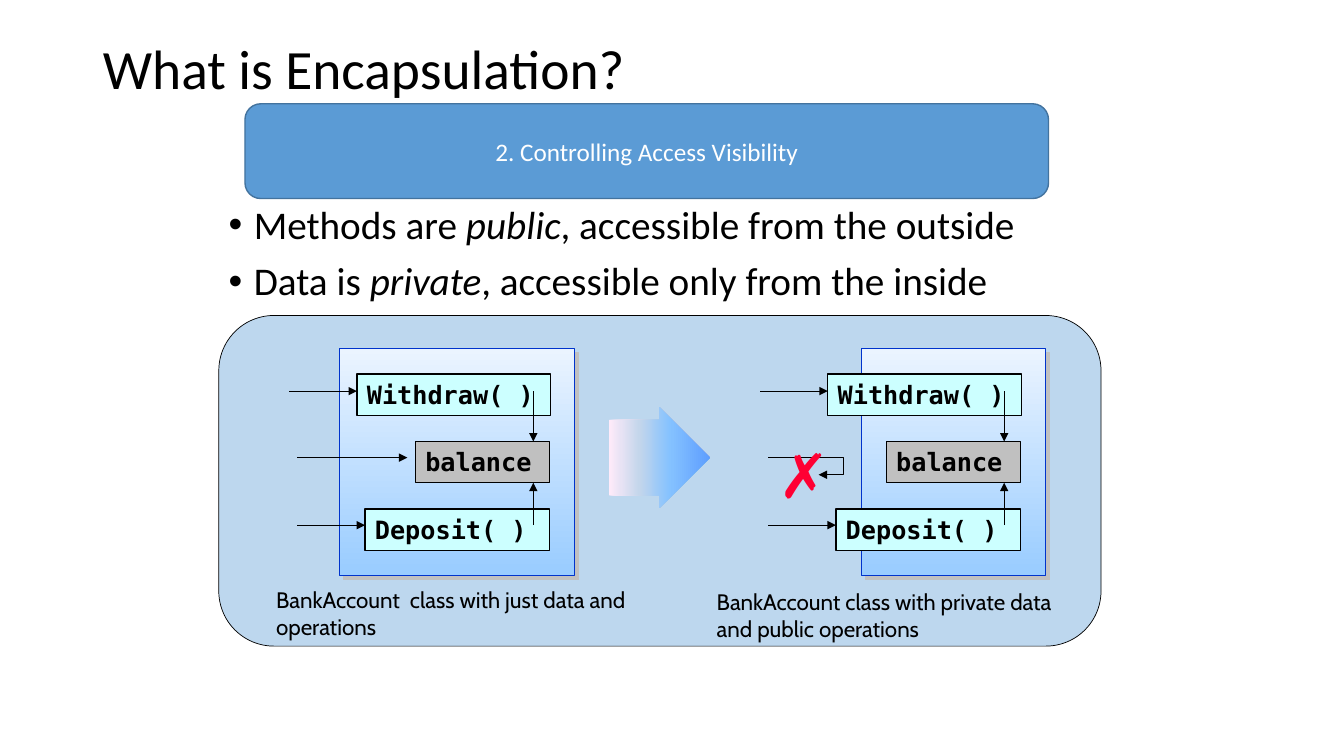
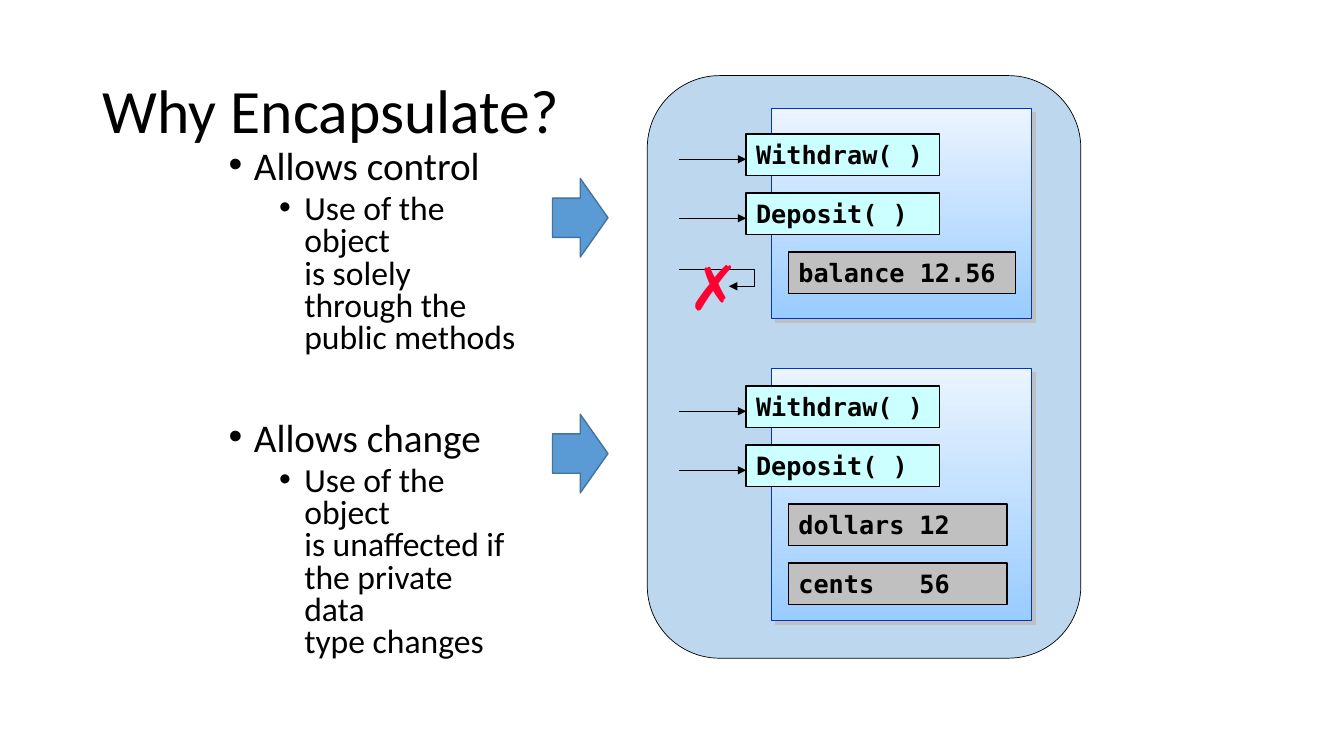
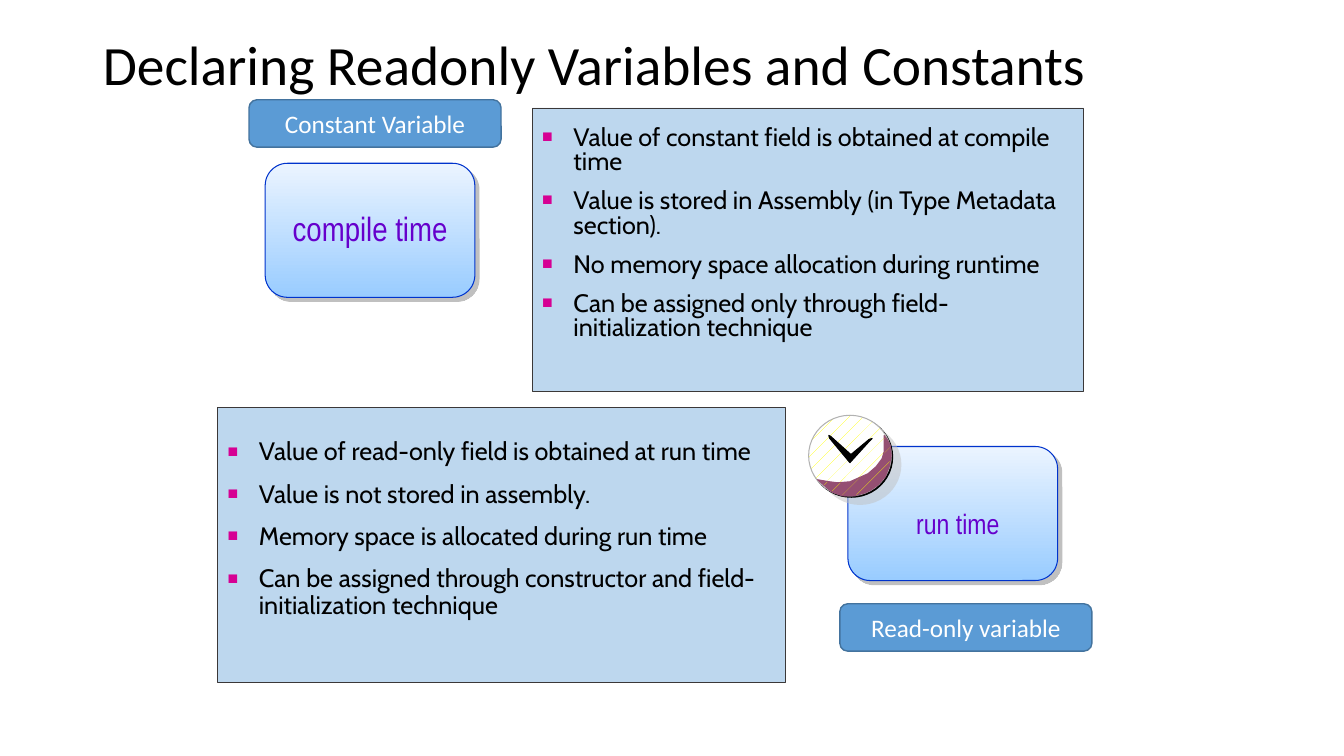
from pptx import Presentation
from pptx.dml.color import RGBColor
from pptx.enum.dml import MSO_PATTERN
from pptx.enum.shapes import MSO_CONNECTOR as CONN, MSO_SHAPE as SHAPE
from pptx.enum.text import MSO_ANCHOR as ANCHOR, MSO_AUTO_SIZE as AUTO, PP_ALIGN as ALIGN
from pptx.oxml import parse_xml
from pptx.oxml.ns import nsdecls, qn
from pptx.util import Inches, Pt
from lxml.etree import SubElement

BLACK, WHITE, GRAY = "000000", "FFFFFF", "C0C0C0"
PALE, BLUE, BLUE_EDGE, PANEL_EDGE = "BDD7EE", "5B9BD5", "43739E", "0033CC"
CYAN, RED, PURPLE, PINK, PLUM = "CCFFFF", "FF0033", "6600CC", "D60093", "954F72"
PANEL_STOPS = [(0, "EBF4FF"), (100, "99CCFF")]
ARROW_STOPS = [(0, "FFEBFA"), (30, "C4D6EB"), (60, "85C2FF"), (100, "5E9EFF")]
BODY, MONO, NOTE, NARROW, PLAIN = "Calibri", "DejaVu Sans Mono", "Cabin", "Arial Narrow", "Arial"
ROW_H = 0.41
CRESCENT = [
    (0.09, 0.64), (0.21, 0.66), (0.29, 0.67), (0.41, 0.66), (0.5, 0.62), (0.59, 0.58),
    (0.67, 0.51), (0.73, 0.43), (0.75, 0.36), (0.75, 0.2), (0.78, 0.24), (0.81, 0.3),
    (0.82, 0.4), (0.8, 0.51), (0.76, 0.61), (0.69, 0.69), (0.62, 0.74), (0.56, 0.77),
    (0.45, 0.8), (0.34, 0.8), (0.23, 0.76), (0.17, 0.71),
]
CHECK = [(0.42, 0.39), (0.6, 0.24), (0.63, 0.23), (0.61, 0.25),
         (0.41, 0.47), (0.21, 0.23), (0.2, 0.2), (0.22, 0.21)]


def rgb(color):
    return RGBColor.from_string(color)


def inches(*values):
    return [Inches(v) for v in values]


def add_gradient(sp, stops, angle):
    sp.fill.gradient()
    sp.fill.gradient_angle = angle
    grad = sp._element.spPr.find(qn("a:gradFill"))
    items = "".join(f'<a:gs pos="{pos * 1000}"><a:srgbClr val="{color}"/></a:gs>'
                    for pos, color in stops)
    grad.replace(grad.find(qn("a:gsLst")),
                 parse_xml(f'<a:gsLst {nsdecls("a")}>{items}</a:gsLst>'))


def add_shadow(sp, color, dist):
    effects = sp._element.spPr.find(qn("a:effectLst"))
    effects.append(parse_xml(
        f'<a:outerShdw {nsdecls("a")} dist="{Pt(dist)}" dir="2700000" algn="ctr" '
        f'rotWithShape="0"><a:srgbClr val="{color}"/></a:outerShdw>'))


def set_pattern(sp, fore, back):
    sp.fill.patterned()
    sp.fill.pattern = MSO_PATTERN.PERCENT_5
    sp.fill.fore_color.rgb = rgb(fore)
    sp.fill.back_color.rgb = rgb(back)


def set_look(sp, fill, line=None, width=0.75):
    sp.shadow.inherit = False
    if fill:
        sp.fill.solid()
        sp.fill.fore_color.rgb = rgb(fill)
    if line:
        sp.line.color.rgb = rgb(line)
        sp.line.width = Pt(width)
    else:
        sp.line.fill.background()


def add_box(shapes, kind, box, fill=None, line=None, width=0.75):
    sp = shapes.add_shape(kind, *inches(*box))
    set_look(sp, fill, line, width)
    return sp


def add_panel(shapes, box, kind=SHAPE.RECTANGLE):
    sp = add_box(shapes, kind, box, line=PANEL_EDGE)
    add_gradient(sp, PANEL_STOPS, 270)
    add_shadow(sp, GRAY, 4.2)
    return sp


def add_bullet(p, char, left, hang, color=None, percent=None):
    pPr = p._p.get_or_add_pPr()
    pPr.set("marL", str(Inches(left)))
    pPr.set("indent", str(-Inches(hang)))
    if color:
        SubElement(SubElement(pPr, qn("a:buClr")), qn("a:srgbClr"), val=color)
    if percent:
        SubElement(pPr, qn("a:buSzPct"), val=str(percent * 1000))
    SubElement(pPr, qn("a:buFont"), typeface=PLAIN)
    SubElement(pPr, qn("a:buChar"), char=char)


def add_tab(p, pos):
    tabs = SubElement(p._p.get_or_add_pPr(), qn("a:tabLst"))
    SubElement(tabs, qn("a:tab"), pos=str(Inches(pos)), algn="l")


def write(p, text, size=18, font=BODY, color=BLACK, bold=False,
          align=ALIGN.LEFT, line=None, before=0):
    p.alignment = align
    p.space_before = Pt(before)
    if line:
        p.line_spacing = line
    for i, part in enumerate(text.split("*")):
        for j, piece in enumerate(part.split("\n")):
            if j:
                p.add_line_break()
            r = p.add_run()
            r.text = piece
            r.font.name, r.font.size, r.font.bold = font, Pt(size), bold
            r.font.italic = i % 2 == 1
            r.font.color.rgb = rgb(color)


def next_par(tf, first):
    return tf.paragraphs[0] if first else tf.add_paragraph()


def add_text_box(shapes, box, wrap=True):
    tf = shapes.add_textbox(*inches(*box)).text_frame
    tf.word_wrap = wrap
    return tf


def add_outline(shapes, x, y, points, color):
    pts = [inches(x + dx, y + dy) for dx, dy in points]
    builder = shapes.build_freeform(*pts[0], scale=1.0)
    builder.add_line_segments(pts[1:], close=True)
    sp = builder.convert_to_shape()
    set_look(sp, color, color)
    return sp


def add_arrow(shapes, x1, y1, x2, y2, kind=CONN.STRAIGHT):
    c = shapes.add_connector(kind, *inches(x1, y1, x2, y2))
    c.line.color.rgb = rgb(BLACK)
    c.line.width = Pt(0.75)
    SubElement(c.line._get_or_add_ln(), qn("a:tailEnd"), type="triangle")
    SubElement(c._element.spPr, qn("a:effectLst"))
    return c


def add_slide(prs, title, box, size):
    s = prs.slides.add_slide(prs.slide_layouts[5])
    sp = s.shapes.title
    sp.left, sp.top, sp.width, sp.height = inches(*box)
    tf = sp.text_frame
    tf.auto_size, tf.vertical_anchor, tf.word_wrap = AUTO.NONE, ANCHOR.MIDDLE, True
    write(tf.paragraphs[0], title, size=size, line=0.9)
    return s


def add_banner(shapes, box, text):
    sp = add_box(shapes, SHAPE.ROUNDED_RECTANGLE, box, BLUE, BLUE_EDGE, 1)
    sp.text_frame.vertical_anchor = ANCHOR.MIDDLE
    write(sp.text_frame.paragraphs[0], text, color=WHITE, align=ALIGN.CENTER)


def add_member(shapes, x, y, w, text, fill):
    sp = add_box(shapes, SHAPE.RECTANGLE, (x, y, w, ROW_H), fill, BLACK, 1)
    tf = sp.text_frame
    tf.vertical_anchor = ANCHOR.TOP
    p = tf.paragraphs[0]
    if "\t" in text:
        add_tab(p, 1.2)
    write(p, text, font=MONO, bold=True)


def add_blocked_access(shapes, x, y):
    c = add_arrow(shapes, x, y, x + 0.5, y + 0.17, CONN.ELBOW)
    guides = c._element.spPr.find(qn("a:prstGeom")).get_or_add_avLst()
    SubElement(guides, qn("a:gd"), name="adj1", fmla="val 150000")
    tf = add_text_box(shapes, (x, y - 0.25, 0.6, 0.84), wrap=False)
    write(tf.paragraphs[0], "✗", size=44, font=PLAIN, color=RED)


def add_access_diagram(shapes, x, y, panel_dx, panel_w, blocked):
    add_panel(shapes, (x + panel_dx, y, panel_w, 2.25))
    add_member(shapes, x + 0.67, y + 0.25, 1.92, "Withdraw( )", CYAN)
    add_member(shapes, x + 0.75, y + 1.59, 1.83, "Deposit( )", CYAN)
    add_member(shapes, x + 1.25, y + 0.92, 1.33, "balance", GRAY)
    add_arrow(shapes, x + 2.42, y + 0.42, x + 2.42, y + 0.92)
    add_arrow(shapes, x + 2.42, y + 1.75, x + 2.42, y + 1.33)
    add_arrow(shapes, x, y + 0.42, x + 0.67, y + 0.42)
    add_arrow(shapes, x + 0.08, y + 1.75, x + 0.75, y + 1.75)
    if blocked:
        add_blocked_access(shapes, x + 0.08, y + 1.08)
    else:
        add_arrow(shapes, x + 0.08, y + 1.08, x + 1.17, y + 1.08)


def add_class_card(shapes, x, y, h, pad, fields, field_w):
    add_panel(shapes, (x, y, 2.58, h))
    rows = [y + pad + 0.585 * i for i in range(2 + len(fields))]
    for top, name in zip(rows, ("Withdraw( )", "Deposit( )")):
        add_member(shapes, x - 0.25, top, 1.92, name, CYAN)
        add_arrow(shapes, x - 0.92, top + 0.25, x - 0.25, top + 0.25)
    for top, name in zip(rows[2:], fields):
        add_member(shapes, x + 0.17, top, field_w, name, GRAY)
    return rows[2]


def add_fact_list(shapes, box, facts, line):
    sp = add_box(shapes, SHAPE.RECTANGLE, box, PALE, "3B3838", 0.5)
    tf = sp.text_frame
    tf.vertical_anchor = ANCHOR.MIDDLE
    tf.margin_bottom = Inches(0.35)
    for i, fact in enumerate(facts):
        p = next_par(tf, i == 0)
        add_bullet(p, "■", 0.31, 0.31, PINK, 70)
        write(p, fact, font=NOTE, line=line, before=10.8 if i else 0)


def add_time_tile(shapes, x, y, text, size, label):
    add_panel(shapes, (x, y, 2.08, 1.33), SHAPE.ROUNDED_RECTANGLE)
    dx, dy, w, h = label
    tf = add_text_box(shapes, (x + dx, y + dy, w, h), wrap=False)
    write(tf.paragraphs[0], text, size=size, font=NARROW, color=PURPLE, align=ALIGN.CENTER)


def add_check_badge(shapes, x, y):
    parts = shapes.add_group_shape().shapes
    shade = add_box(parts, SHAPE.OVAL, (x + 0.1, y + 0.09, 0.82, 0.8), GRAY)
    color = shade._element.spPr.find(qn("a:solidFill"))[0]
    SubElement(color, qn("a:alpha"), val="50000")
    disc = add_box(parts, SHAPE.OVAL, (x, y, 0.82, 0.8), line="B2B2B2")
    set_pattern(disc, "FFFF00", WHITE)
    add_shadow(disc, BLACK, 1.4)
    set_pattern(add_outline(parts, x, y, CRESCENT, PLUM), "FFFF00", PLUM)
    add_outline(parts, x, y, CHECK, BLACK)


def build_encapsulation(prs):
    s = add_slide(prs, "What is Encapsulation?", (0.92, 0.4, 11.49, 0.62), 39.6)
    sh = s.shapes
    add_box(sh, SHAPE.ROUNDED_RECTANGLE, (2.17, 3.13, 8.75, 3.28), PALE, BLACK, 0.5)
    tf = add_text_box(sh, (2.17, 1.99, 9, 1.1))
    for i, text in enumerate(("Methods are *public*, accessible from the outside",
                              "Data is *private*, accessible only from the inside")):
        p = next_par(tf, i == 0)
        add_bullet(p, "•", 0.25, 0.25)
        write(p, text, size=28, line=0.9, before=10 if i else 0)
    arrow = add_box(sh, SHAPE.RIGHT_ARROW, (6.04, 4.04, 1, 1))
    arrow.adjustments[0], arrow.adjustments[1] = 0.75, 0.5
    add_gradient(arrow, ARROW_STOPS, 0)
    add_access_diagram(sh, 2.87, 3.46, 0.5, 2.33, blocked=False)
    add_access_diagram(sh, 7.54, 3.46, 1, 1.83, blocked=True)
    for x, y, text in (
            (2.64, 5.77, "BankAccount  class with just data and operations"),
            (7.01, 5.79, "BankAccount class with private data and public operations")):
        tf = add_text_box(sh, (x, y, 3.75, 0.64))
        write(tf.paragraphs[0], text, size=16, font=NOTE)
    add_banner(sh, (2.43, 1.03, 7.97, 0.94), "2. Controlling Access Visibility")


def build_reasons(prs):
    s = add_slide(prs, "Why Encapsulate?", (0.92, 0.4, 11.5, 1.45), 44)
    sh = s.shapes
    add_box(sh, SHAPE.ROUNDED_RECTANGLE, (6.42, 0.75, 4.3, 5.78), PALE, BLACK, 0.5)
    field_y = add_class_card(sh, 7.65, 1.08, 2.08, 0.25, ["balance 12.56"], 2.25)
    add_blocked_access(sh, 6.73, field_y + 0.17)
    add_class_card(sh, 7.65, 3.66, 2.5, 0.17, ["dollars\t12", "cents\t56"], 2.17)
    for y in (1.77, 4.11):
        add_box(sh, SHAPE.RIGHT_ARROW, (5.48, y, 0.55, 0.78), BLUE, BLUE_EDGE, 1)
    tf = add_text_box(sh, (2.17, 1.44, 3.06, 5.48))
    reasons = (
        ("Allows control", "Use of the object\nis solely through the\npublic methods"),
        ("Allows change",
         "Use of the object\nis unaffected if \nthe private data \ntype changes"))
    for i, (head, detail) in enumerate(reasons):
        p = next_par(tf, i == 0)
        add_bullet(p, "•", 0.25, 0.25)
        write(p, head, size=28, line=0.8, before=47 if i else 0)
        p = tf.add_paragraph()
        add_bullet(p, "•", 0.75, 0.25)
        write(p, detail, size=24, line=0.8, before=5)


def build_declarations(prs):
    s = add_slide(prs, "Declaring Readonly Variables and Constants",
                  (0.92, 0.4, 11.48, 0.53), 39.6)
    sh = s.shapes
    add_fact_list(sh, (5.28, 1.07, 5.47, 2.81), (
        "Value of constant field is obtained at compile time",
        "Value is stored in Assembly (in Type Metadata section).",
        "No memory space allocation during runtime",
        "Can be assigned only through field-initialization technique"), 0.8)
    add_fact_list(sh, (2.16, 4.04, 5.63, 2.73), (
        "Value of read-only field is obtained at run time",
        "Value is not stored in assembly.",
        "Memory space is allocated during run time",
        "Can be assigned through constructor and field-initialization technique"), 0.9)
    add_time_tile(sh, 2.63, 1.62, "compile time", 24, (0.15, 0.39, 1.78, 0.6))
    add_time_tile(sh, 8.41, 4.43, "run time", 20, (0.39, 0.55, 1.4, 0.52))
    add_check_badge(sh, 8.02, 4.12)
    add_banner(sh, (2.47, 0.99, 2.5, 0.47), "Constant Variable")
    add_banner(sh, (8.33, 5.99, 2.5, 0.47), "Read-only variable")


def main():
    prs = Presentation()
    prs.slide_width, prs.slide_height = inches(13.33, 7.5)
    build_encapsulation(prs)
    build_reasons(prs)
    build_declarations(prs)
    prs.save("out.pptx")


if __name__ == "__main__":
    main()
